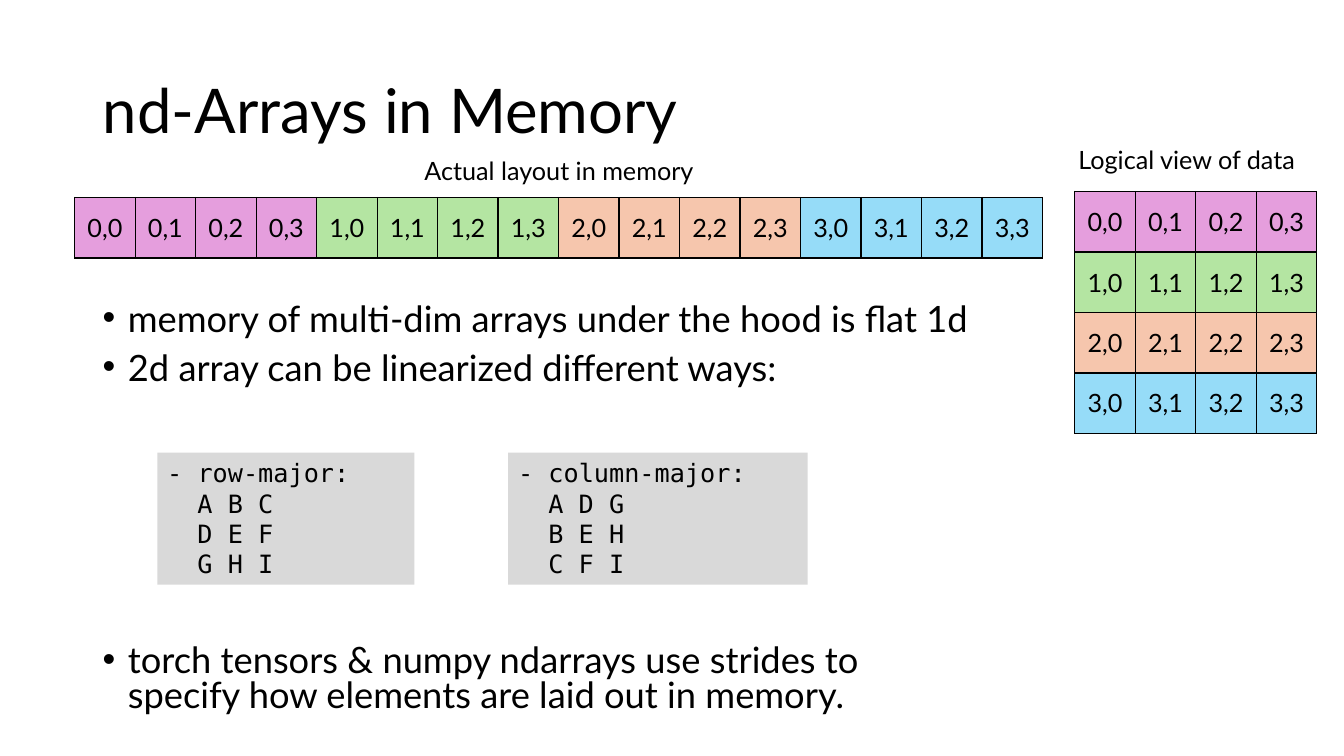
from lxml.etree import SubElement
from pptx import Presentation
from pptx.dml.color import RGBColor
from pptx.enum.shapes import MSO_SHAPE as Shape
from pptx.enum.text import MSO_ANCHOR as Anchor, MSO_AUTO_SIZE as AutoSize, PP_ALIGN as Align
from pptx.oxml.ns import qn
from pptx.util import Inches, Pt

SANS, MONO = "Lato", "DejaVu Sans Mono"
ROW_COLOURS = ["E59EDD", "B4E5A2", "F6C6AD", "96DCF8"]
CELL = 0.6


def colour(value):
    return RGBColor.from_string(value)


def write(para, text, size=18, font=SANS, align=Align.LEFT, line=None, before=0, indent=0):
    """Fill one paragraph and set its format."""
    span = para.add_run()
    span.text = text
    span.font.size = Pt(size)
    span.font.name = font
    span.font.color.rgb = colour("000000")
    para.alignment = align
    para.space_before = Pt(before)
    if line:
        para.line_spacing = line
    if indent:
        para._p.get_or_add_pPr().set("marL", str(Inches(indent)))


def next_para(frame, index):
    return frame.add_paragraph() if index else frame.paragraphs[0]


def add_bullet(para, hang):
    props = para._p.get_or_add_pPr()
    props.set("indent", str(-Inches(hang)))
    SubElement(props, qn("a:buFont"), typeface="Arial")
    SubElement(props, qn("a:buChar"), char="•")


def add_title(page, text):
    title = page.shapes.title
    title.left, title.top = Inches(0.92), Inches(0.4)
    title.width, title.height = Inches(11.5), Inches(1.45)
    frame = title.text_frame
    frame.vertical_anchor = Anchor.MIDDLE
    frame.auto_size = AutoSize.NONE
    write(frame.paragraphs[0], text, size=44, line=0.9)


def add_text_box(page, left, top, width, height):
    box = page.shapes.add_textbox(Inches(left), Inches(top), Inches(width), Inches(height))
    box.text_frame.word_wrap = True
    return box.text_frame


def add_caption(page, text, left, top, width):
    frame = add_text_box(page, left, top, width, 0.4)
    write(frame.paragraphs[0], text, align=Align.CENTER)


def add_bullets(page, items):
    """Bulleted body; each item has its own gap above."""
    frame = add_text_box(page, 0.92, 2.97, 8.84, 4.26)
    for index, (text, gap) in enumerate(items):
        para = next_para(frame, index)
        write(para, text, size=25.9, line=0.8, before=gap, indent=0.25)
        add_bullet(para, 0.25)


def add_code_box(page, heading, rows, left, width):
    box = page.shapes.add_shape(Shape.RECTANGLE, Inches(left), Inches(4.49),
                                Inches(width), Inches(1.31))
    box.shadow.inherit = False
    box.fill.solid()
    box.fill.fore_color.rgb = colour("D9D9D9")
    box.line.fill.background()
    frame = box.text_frame
    frame.word_wrap = True
    frame.vertical_anchor = Anchor.TOP
    for index, text in enumerate([heading, *rows]):
        write(next_para(frame, index), text, font=MONO, indent=0.3 if index else 0)


def add_borders(cell):
    props = cell._tc.get_or_add_tcPr()
    for side in ("a:lnL", "a:lnR", "a:lnT", "a:lnB"):
        edge = SubElement(props, qn(side), w=str(Pt(1)))
        SubElement(SubElement(edge, qn("a:solidFill")), qn("a:srgbClr"), val="000000")


def add_array(page, rows, left, top):
    """Table of (row, column) index pairs, coloured by array row."""
    across, down = len(rows[0]), len(rows)
    table = page.shapes.add_table(down, across, Inches(left), Inches(top),
                                  Inches(CELL * across), Inches(CELL * down)).table
    table.first_row = table.horz_banding = False
    for line in [*table.rows]:
        line.height = Inches(CELL)
    for column in table.columns:
        column.width = Inches(CELL)
    for y, row in enumerate(rows):
        for x, (i, j) in enumerate(row):
            cell = table.cell(y, x)
            add_borders(cell)
            cell.fill.solid()
            cell.fill.fore_color.rgb = colour(ROW_COLOURS[i])
            cell.vertical_anchor = Anchor.MIDDLE
            write(cell.text_frame.paragraphs[0], f"{i},{j}", align=Align.CENTER)


def main():
    deck = Presentation()
    deck.slide_width, deck.slide_height = Inches(13.33), Inches(7.5)
    page = deck.slides.add_slide(deck.slide_layouts[5])
    add_title(page, "nd-Arrays in Memory")

    # Explanation, with room for the code boxes above the last bullet
    add_bullets(page, [
        ("memory of multi-dim arrays under the hood is flat 1d", 10),
        ("2d array can be linearized different ways:", 10),
        ("torch tensors & numpy ndarrays use strides to specify how "
         "elements are laid out in memory.", 184),
    ])
    add_code_box(page, "- row-major:", ["A B C", "D E F", "G H I"], 1.56, 2.55)
    add_code_box(page, "- column-major:", ["A D G", "B E H", "C F I"], 5.04, 2.97)

    # The same array as a grid and as flat memory
    grid = [[(i, j) for j in range(4)] for i in range(4)]
    add_array(page, grid, 10.66, 1.9)
    add_caption(page, "Logical view of data", 10.47, 1.38, 2.6)
    add_array(page, [sum(grid, [])], 0.74, 1.96)
    add_caption(page, "Actual layout in memory", 4.11, 1.49, 2.87)

    deck.save("out.pptx")


if __name__ == "__main__":
    main()
